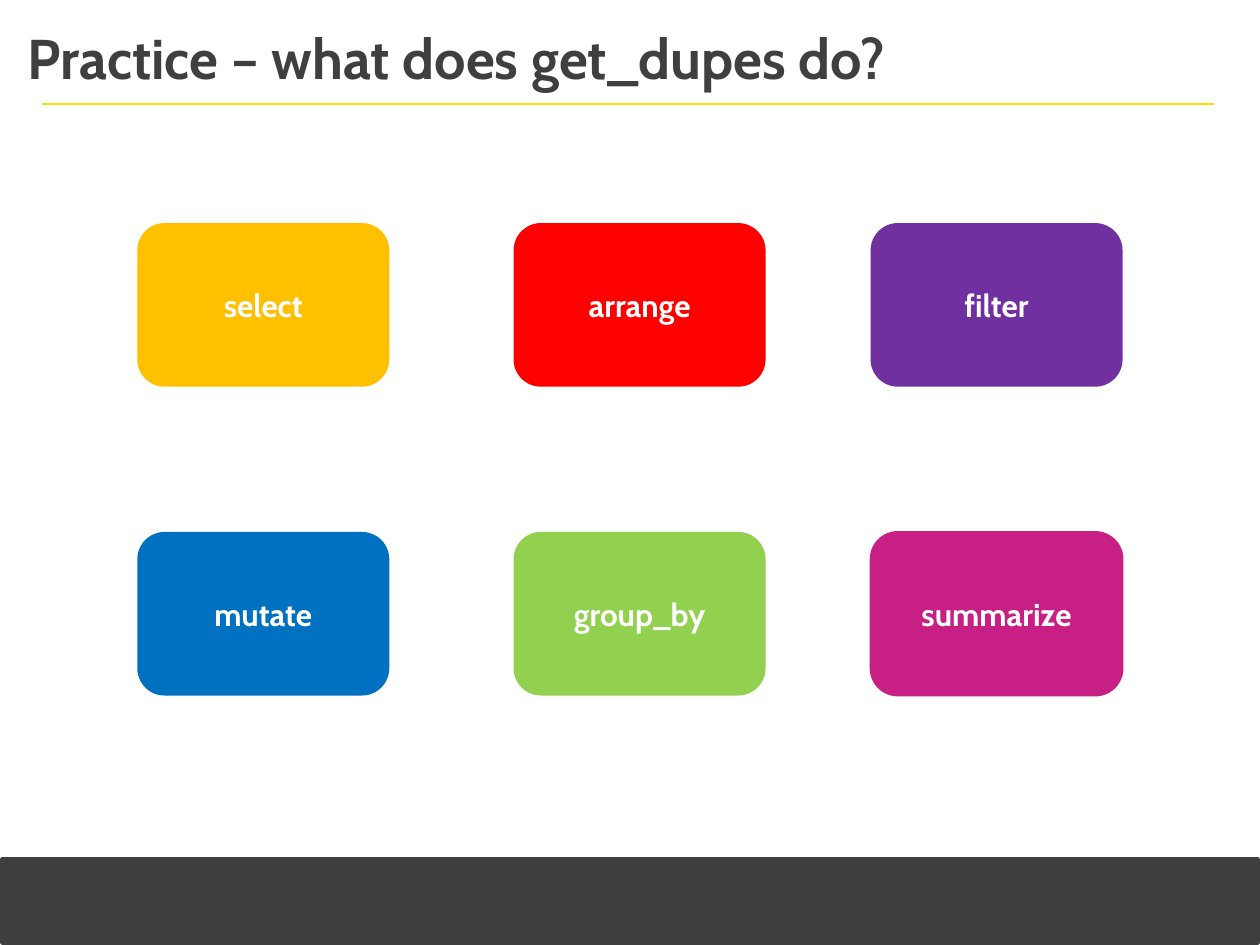
"""Build a practice slide showing six dplyr verbs as coloured cards."""
from dataclasses import dataclass

from lxml import etree
from pptx import Presentation
from pptx.dml.color import RGBColor
from pptx.enum.shapes import MSO_CONNECTOR, MSO_SHAPE
from pptx.enum.text import MSO_ANCHOR, MSO_AUTO_SIZE, PP_ALIGN
from pptx.oxml.ns import qn
from pptx.util import Pt

RECT, ROUNDED = MSO_SHAPE.RECTANGLE, MSO_SHAPE.ROUNDED_RECTANGLE
STRAIGHT = MSO_CONNECTOR.STRAIGHT
MIDDLE = MSO_ANCHOR.MIDDLE
NO_FIT = MSO_AUTO_SIZE.NONE
LEFT, CENTER = PP_ALIGN.LEFT, PP_ALIGN.CENTER
TITLE_ONLY = 5


@dataclass(frozen=True)
class Theme:
    font: str = "Cabin"
    dark: str = "3F3F3F"
    accent: str = "FFDD00"
    light: str = "FFFFFF"
    title_size: float = 32
    card_size: float = 18


@dataclass(frozen=True)
class Card:
    label: str
    color: str
    col: int
    row: int
    outline: float = 0


THEME = Theme()
COLUMNS = (78.5, 293.5, 497.5)
ROWS = (127.5, 304)
CARD_WIDTH, CARD_HEIGHT = 144, 93.5
CARDS = (
    Card("select", "FFC000", 0, 0),
    Card("arrange", "FF0000", 1, 0),
    Card("filter", "7030A0", 2, 0),
    Card("mutate", "0070C0", 0, 1),
    Card("group_by", "92D050", 1, 1),
    Card("summarize", "C71F83", 2, 1, outline=1),
)


def rgb(value: str) -> RGBColor:
    return RGBColor.from_string(value)


def write(sp, text: str, size: float, color: str, align) -> None:
    tf = sp.text_frame
    tf.word_wrap = True
    tf.auto_size = NO_FIT
    tf.vertical_anchor = MIDDLE
    p = tf.paragraphs[0]
    p.alignment = align
    r = p.add_run()
    r.text = text
    r.font.name = THEME.font
    r.font.size = Pt(size)
    r.font.bold = True
    r.font.color.rgb = rgb(color)


def add_box(s, kind, left: float, top: float, width: float, height: float,
            color: str, outline: float = 0):
    sp = s.shapes.add_shape(kind, Pt(left), Pt(top), Pt(width), Pt(height))
    sp.shadow.inherit = False
    sp.fill.solid()
    sp.fill.fore_color.rgb = rgb(color)
    if outline:
        sp.line.color.rgb = rgb(color)
        sp.line.width = Pt(outline)
    else:
        sp.line.fill.background()
    return sp


def add_rule(s, left: float, right: float, top: float) -> None:
    line = s.shapes.add_connector(STRAIGHT, Pt(left), Pt(top), Pt(right), Pt(top))
    line.line.color.rgb = rgb(THEME.accent)
    line.line.width = Pt(1)
    etree.SubElement(line._element.spPr, qn("a:effectLst"))


def add_title(s, text: str) -> None:
    sp = s.shapes.title
    sp.left, sp.top, sp.width, sp.height = Pt(8.5), Pt(13.5), Pt(670), Pt(38)
    write(sp, text, THEME.title_size, THEME.dark, LEFT)


def add_card(s, card: Card) -> None:
    sp = add_box(s, ROUNDED, COLUMNS[card.col], ROWS[card.row],
                 CARD_WIDTH, CARD_HEIGHT, card.color, card.outline)
    write(sp, card.label, THEME.card_size, THEME.light, CENTER)


def main() -> None:
    prs = Presentation()
    prs.slide_width, prs.slide_height = Pt(720), Pt(540)
    s = prs.slides.add_slide(prs.slide_layouts[TITLE_ONLY])
    s.background.fill.solid()
    s.background.fill.fore_color.rgb = rgb(THEME.light)
    add_box(s, RECT, 1.5, 491, 717, 47.5, THEME.dark, outline=3)
    add_rule(s, 24, 693.5, 59.5)
    add_title(s, "Practice – what does get_dupes do?")
    for card in CARDS:
        add_card(s, card)
    prs.save("out.pptx")


if __name__ == "__main__":
    main()
